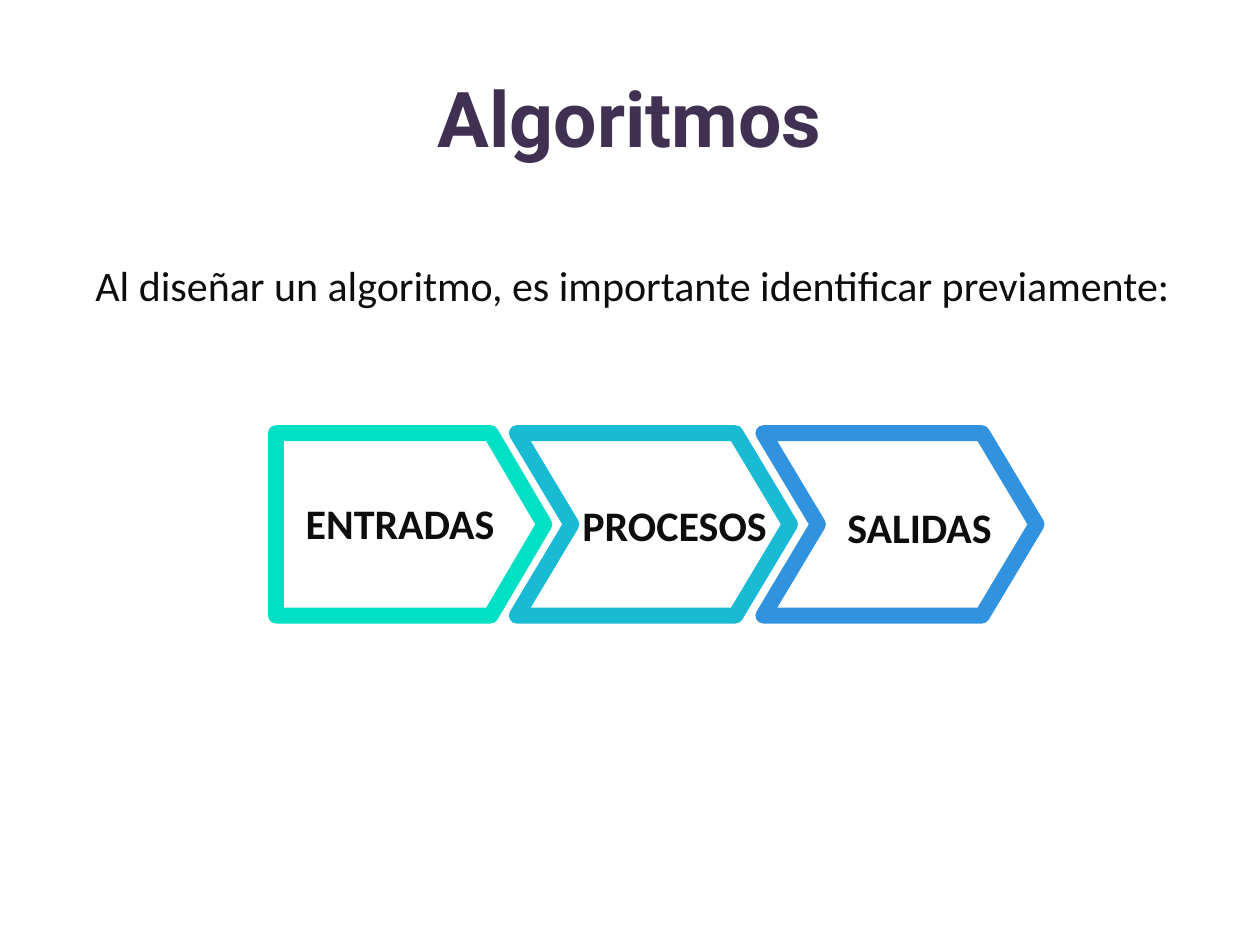
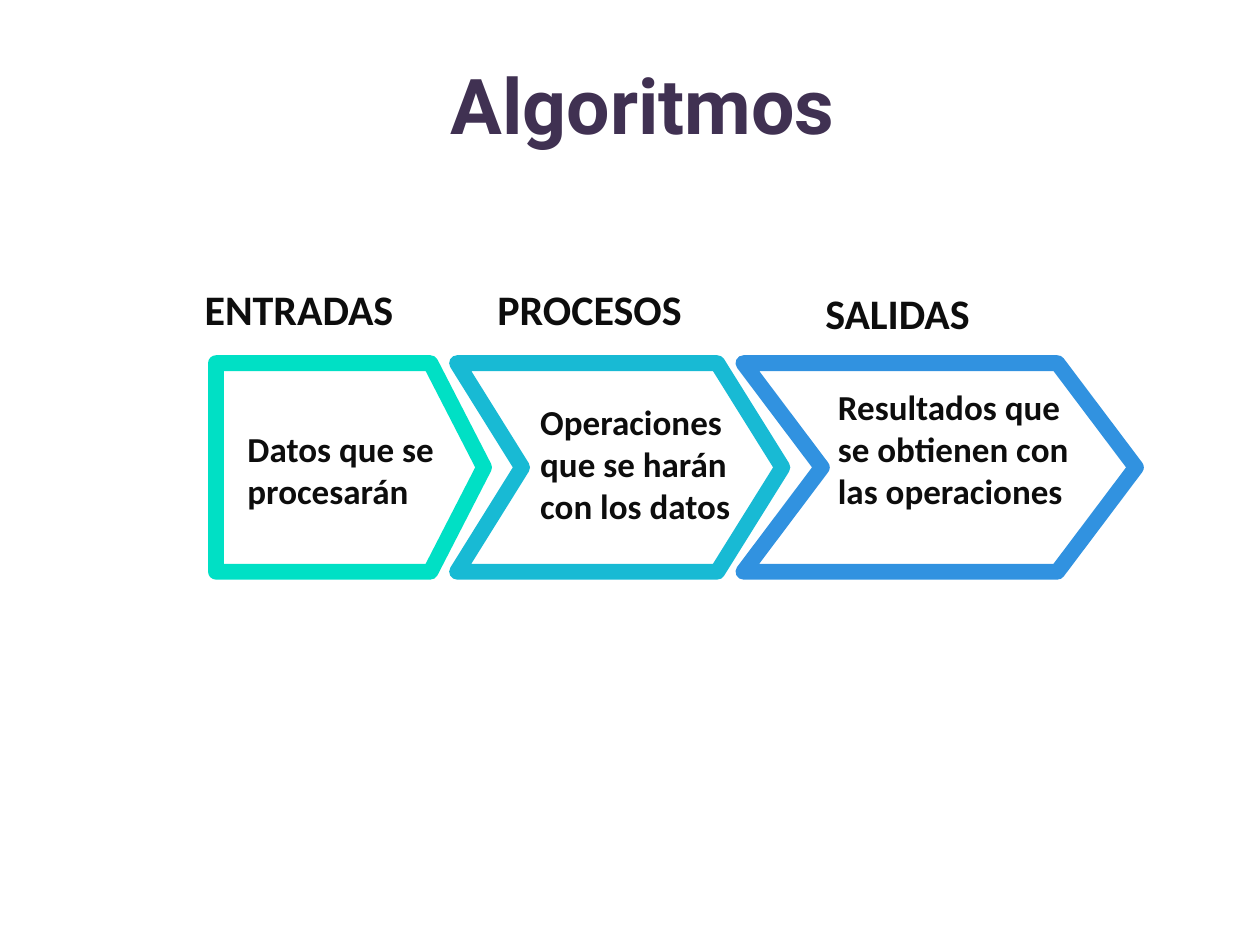
from lxml.etree import SubElement
from pptx import Presentation
from pptx.dml.color import RGBColor
from pptx.enum.text import MSO_ANCHOR, PP_ALIGN
from pptx.oxml.ns import qn
from pptx.util import Pt

PURPLE = RGBColor(0x40, 0x31, 0x52)
INK = RGBColor(0x0D, 0x0D, 0x0D)
GREEN = RGBColor(0x00, 0xE0, 0xC5)
TEAL = RGBColor(0x18, 0xBA, 0xD4)
BLUE = RGBColor(0x31, 0x92, 0xE0)
COLORS = (GREEN, TEAL, BLUE)
STAGES = ("ENTRADAS", "PROCESOS", "SALIDAS")
DETAILS = (
    "Datos que se procesarán",
    "Operaciones que se harán con los datos",
    "Resultados que se obtienen con las operaciones",
)
TITLE_FONT, BODY_FONT = "Roboto", "Calibri"
LINE_WIDTH = 9
TIP_RATIO = 0.2


def add_run(p, text, font, size, color, bold):
    """Add one formatted run to a paragraph."""
    r = p.add_run()
    r.text = text
    r.font.name = font
    r.font.size = Pt(size)
    r.font.bold = bold
    r.font.color.rgb = color


def add_title(s, box):
    """Move and fill the title placeholder."""
    sp = s.shapes.title
    sp.left, sp.top, sp.width, sp.height = map(Pt, box)
    tf = sp.text_frame
    tf.vertical_anchor = MSO_ANCHOR.MIDDLE
    p = tf.paragraphs[0]
    p.alignment = PP_ALIGN.CENTER
    add_run(p, "Algoritmos", TITLE_FONT, 44, PURPLE, True)


def add_text(s, box, text, size=24, bold=True):
    """Add a text box without margins."""
    tf = s.shapes.add_textbox(*map(Pt, box)).text_frame
    tf.word_wrap = True
    tf.margin_left = tf.margin_top = tf.margin_right = tf.margin_bottom = 0
    add_run(tf.paragraphs[0], text, BODY_FONT, size, INK, bold)


def add_arrow(s, box, color, notched):
    """Outline an arrow whose tip takes a fixed share of the box width."""
    x, y, w, h = box
    tip = w * TIP_RATIO
    points = [(x + w - tip, y), (x + w, y + h / 2), (x + w - tip, y + h), (x, y + h)]
    if notched:
        points.append((x + tip, y + h / 2))
    fb = s.shapes.build_freeform(Pt(x), Pt(y))
    fb.add_line_segments([(Pt(px), Pt(py)) for px, py in points])
    sp = fb.convert_to_shape()
    sp.shadow.inherit = False
    sp.fill.background()
    sp.line.color.rgb = color
    sp.line.width = Pt(LINE_WIDTH)
    SubElement(sp.line._get_or_add_ln(), qn("a:round"))


def add_stages(s, box, columns, texts):
    """Draw the arrows in columns of (offset, width) and the texts set from each arrow's corner."""
    left, top, height = box
    for i, (dx, width) in enumerate(columns):
        x = left + dx
        add_arrow(s, (x, top, width, height), COLORS[i], i > 0)
        for text, size, (tx, ty, tw, th) in texts[i]:
            add_text(s, (x + tx, top + ty, tw, th), text, size)


def build_overview(prs):
    """Build the slide that names the three stages."""
    s = prs.slides.add_slide(prs.slide_layouts[5])
    add_title(s, (36, 21.6, 648, 90))
    add_text(s, (54.5, 148.3, 708, 40), "Al diseñar un algoritmo, es importante identificar previamente:", bold=False)
    boxes = ((17, 36.7, 129, 31), (37.5, 38, 109, 31), (48, 39, 105, 26))
    texts = [[(name, 24, box)] for name, box in zip(STAGES, boxes)]
    add_stages(s, (157.7, 247.5, 104.3), ((0, 153.4), (137.6, 156.2), (278.5, 156.2)), texts)


def build_details(prs):
    """Build the slide that explains the three stages."""
    s = prs.slides.add_slide(prs.slide_layouts[5])
    add_title(s, (70.5, 14.4, 593.5, 90))
    name_boxes = ((-6.5, -45.5, 129, 31), (23, -45.5, 109, 31), (46.8, -43.4, 105, 26))
    detail_boxes = ((18, 36.7, 129, 111), (47.5, 21.5, 112, 81), (54, 13, 132, 95))
    texts = [
        [(detail, 20, detail_box), (name, 24, name_box)]
        for name, name_box, detail, detail_box in zip(STAGES, name_boxes, DETAILS, detail_boxes)
    ]
    add_stages(s, (123.4, 207.5, 119.2), ((0, 153.2), (137.8, 185.9), (301.4, 224.3)), texts)


def main():
    """Build and save the presentation."""
    prs = Presentation()
    prs.slide_width, prs.slide_height = Pt(720), Pt(540)
    build_overview(prs)
    build_details(prs)
    prs.save("out.pptx")


if __name__ == "__main__":
    main()
